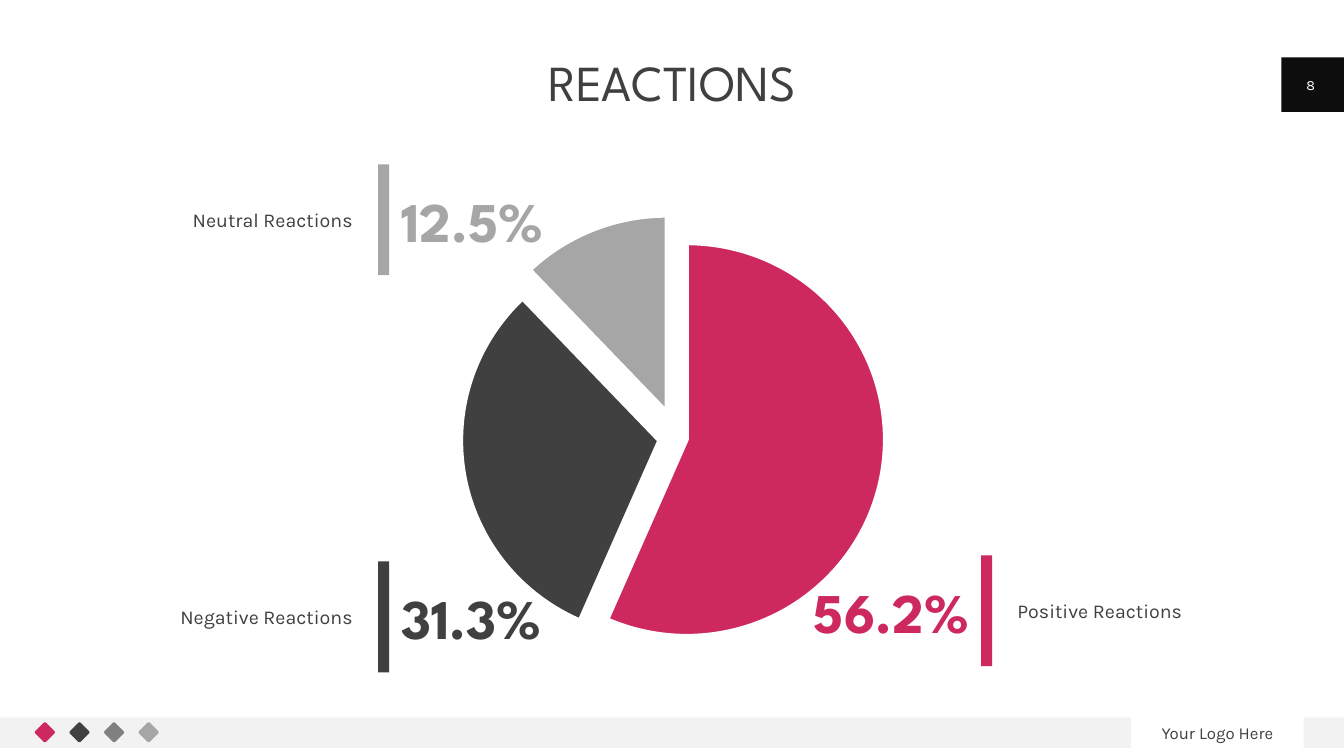
from lxml import etree
from pptx import Presentation
from pptx.chart.data import CategoryChartData
from pptx.dml.color import RGBColor
from pptx.enum.chart import XL_CHART_TYPE
from pptx.enum.shapes import MSO_SHAPE as Preset
from pptx.enum.text import MSO_ANCHOR as Anchor, PP_ALIGN as Align
from pptx.oxml.ns import qn
from pptx.util import Inches, Pt

PINK = RGBColor(0xCE, 0x29, 0x5E)
CHARCOAL = RGBColor(0x40, 0x40, 0x40)
GRAY = RGBColor(0x80, 0x80, 0x80)
SILVER = RGBColor(0xA6, 0xA6, 0xA6)
PALE = RGBColor(0xF2, 0xF2, 0xF2)
BLACK = RGBColor(0x0D, 0x0D, 0x0D)
WHITE = RGBColor(0xFF, 0xFF, 0xFF)
HEADING, BODY = "League Spartan", "Karla"

TITLE = "REACTIONS"
PAGE = "8"
FOOTER = "Your Logo Here"
# label, share, slice value, colour, slice explosion in %, bar left, middle height, label side
REACTIONS = [
    ("Positive Reactions", "56.2%", 56, PINK, 5, 9.73, 6.06, "right"),
    ("Negative Reactions", "31.3%", 31, CHARCOAL, 9, 3.75, 6.12, "left"),
    ("Neutral Reactions", "12.5%", 12, SILVER, 14, 3.75, 2.18, "left"),
]
DIAMONDS = [PINK, CHARCOAL, GRAY, SILVER]
FOOTER_TOP, FOOTER_HEIGHT = 7.12, 0.3
FOOTER_BANDS = [(0, 11.22), (12.93, 0.4)]
PLOT_LAYOUT = {"x": 0.031, "y": 0.072, "w": 0.952, "h": 0.928}
BAR_WIDTH, BAR_HEIGHT = 0.11, 1.1
SHARE_WIDTH, SHARE_HEIGHT, SHARE_GAP = 2.08, 0.67, 0.12
LABEL_WIDTH, LABEL_HEIGHT, LABEL_GAP = 2.95, 0.24, 0.25

prs = Presentation()
prs.slide_width, prs.slide_height = Inches(13.33), Inches(7.5)
slide = prs.slides.add_slide(prs.slide_layouts[6])


def add_block(left, top, width, height, color, preset=Preset.RECTANGLE):
    block = slide.shapes.add_shape(
        preset, Inches(left), Inches(top), Inches(width), Inches(height))
    block.shadow.inherit = False
    block.fill.solid()
    block.fill.fore_color.rgb = color
    block.line.fill.background()
    return block


def add_text(text, left, top, width, height, size, color, font=BODY,
             align=Align.CENTER, anchor=Anchor.MIDDLE, bold=False):
    frame = slide.shapes.add_textbox(
        Inches(left), Inches(top), Inches(width), Inches(height)).text_frame
    frame.word_wrap = True
    frame.vertical_anchor = anchor
    frame.margin_left = frame.margin_right = 0
    frame.margin_top = frame.margin_bottom = 0
    frame.text = text
    paragraph = frame.paragraphs[0]
    paragraph.alignment = align
    style = paragraph.runs[0].font
    style.name, style.size, style.bold = font, Pt(size), bold
    style.color.rgb = color
    return paragraph


def add_pie():
    data = CategoryChartData()
    data.categories = ["1", "2", "3"]
    data.add_series("Series 1", [reaction[2] for reaction in REACTIONS])
    chart = slide.shapes.add_chart(
        XL_CHART_TYPE.PIE, Inches(3.49), Inches(2.09),
        Inches(6.36), Inches(4.24), data).chart
    chart.has_legend = chart.has_title = False
    chart.font.name, chart.font.size = BODY, Pt(10)
    pie = chart.plots[0]
    pie.vary_by_categories = True

    for index, (_, _, _, color, *_) in enumerate(REACTIONS):
        slice_format = pie.series[0].points[index].format
        slice_format.fill.solid()
        slice_format.fill.fore_color.rgb = color
        slice_format.line.color.rgb = WHITE
        slice_format.line.width = Pt(3)
    for node, reaction in zip(chart.element.iter(qn("c:dPt")), REACTIONS):
        exploded = etree.Element(qn("c:explosion"), val=str(reaction[4]))
        node.find(qn("c:spPr")).addprevious(exploded)

    area = chart.element.find(".//" + qn("c:plotArea"))
    for old in area.findall(qn("c:layout")):
        area.remove(old)
    layout = etree.Element(qn("c:layout"))
    manual = etree.SubElement(layout, qn("c:manualLayout"))
    settings = {"layoutTarget": "inner", "xMode": "edge", "yMode": "edge", **PLOT_LAYOUT}
    for name, value in settings.items():
        etree.SubElement(manual, qn("c:" + name), val=str(value))
    area.insert(0, layout)


def add_callout(label, share, color, bar_left, middle, label_side):
    """Coloured bar with the label on one side and the share on the other."""
    bar_right = bar_left + BAR_WIDTH
    if label_side == "right":
        label_left, label_align = bar_right + LABEL_GAP, Align.LEFT
        share_left, share_align = bar_left - SHARE_GAP - SHARE_WIDTH, Align.RIGHT
    else:
        label_left, label_align = bar_left - LABEL_GAP - LABEL_WIDTH, Align.RIGHT
        share_left, share_align = bar_right + SHARE_GAP, Align.LEFT
    add_block(bar_left, middle - BAR_HEIGHT / 2, BAR_WIDTH, BAR_HEIGHT, color)
    add_text(label, label_left, middle - LABEL_HEIGHT / 2, LABEL_WIDTH, LABEL_HEIGHT,
             14, CHARCOAL, align=label_align)
    add_text(share, share_left, middle - SHARE_HEIGHT / 2, SHARE_WIDTH, SHARE_HEIGHT,
             40, color, HEADING, share_align, bold=True)


for band_left, band_width in FOOTER_BANDS:
    add_block(band_left, FOOTER_TOP, band_width, FOOTER_HEIGHT, PALE)
for index, color in enumerate(DIAMONDS):
    diamond = add_block(0.37 + index * 0.343, 7.19, 0.15, 0.15, color,
                        Preset.ROUNDED_RECTANGLE)
    diamond.adjustments[0] = 0.11
    diamond.rotation = 45
add_text(FOOTER, 11.22, FOOTER_TOP, 1.71, FOOTER_HEIGHT, 12, CHARCOAL)

add_block(12.71, 0.57, 0.62, 0.54, BLACK)
add_text(PAGE, 12.77, 0.64, 0.46, 0.4, 10, WHITE)
heading = add_text(TITLE, 0.92, 0.58, 11.5, 0.55, 36, CHARCOAL, HEADING, anchor=Anchor.TOP)
heading.line_spacing = 0.9

add_pie()
for label, share, _, color, _, bar_left, middle, label_side in REACTIONS:
    add_callout(label, share, color, bar_left, middle, label_side)

prs.save("out.pptx")
